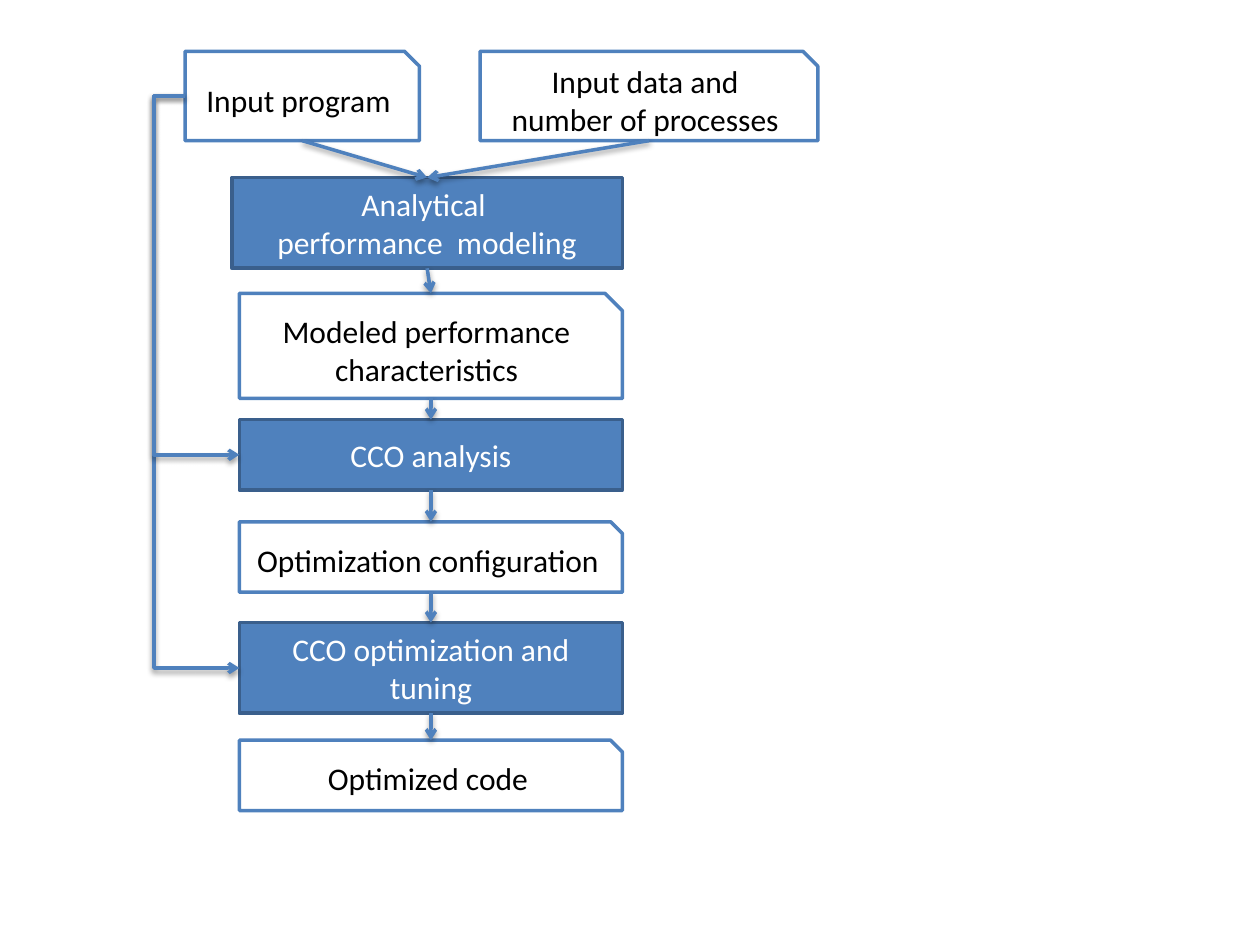
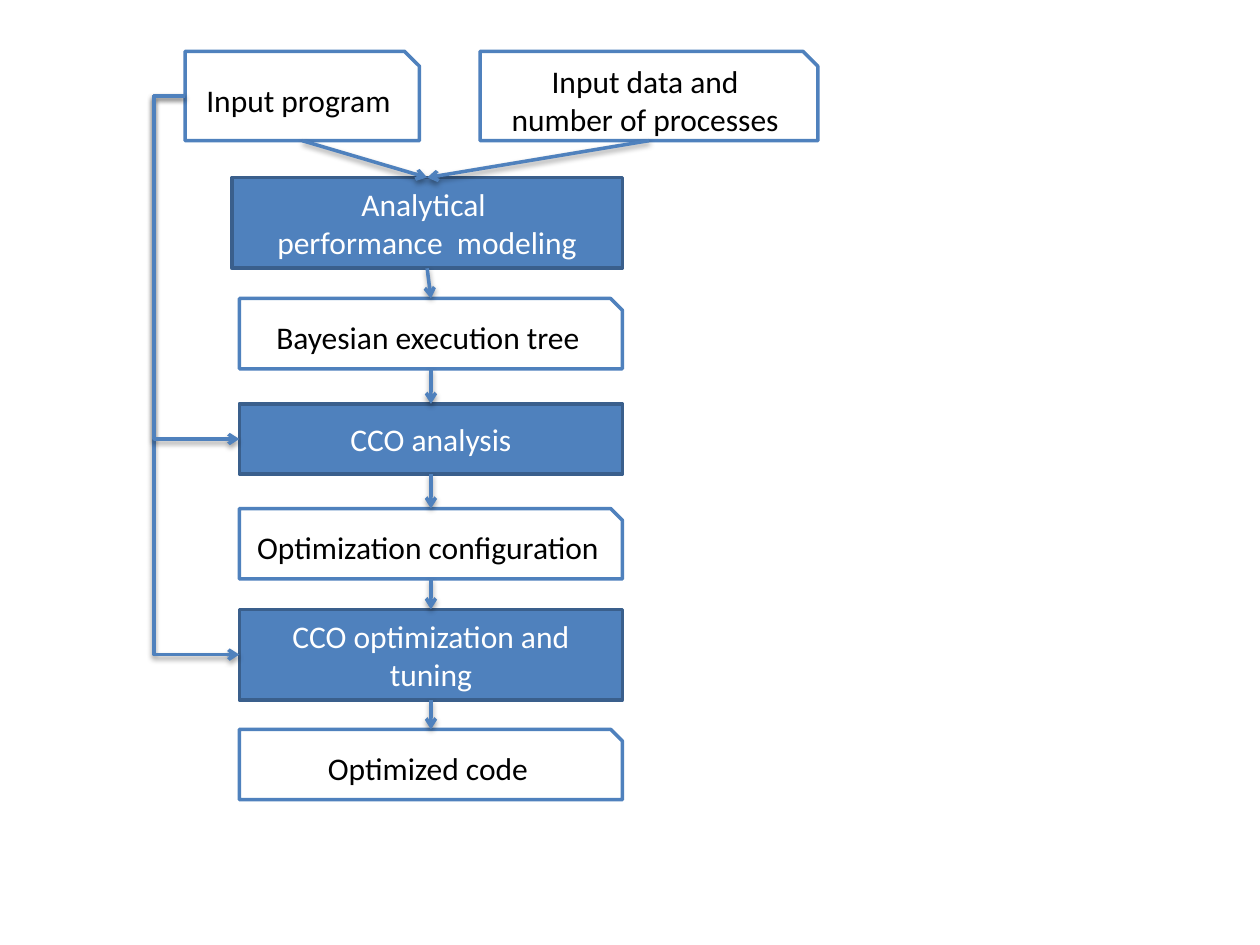
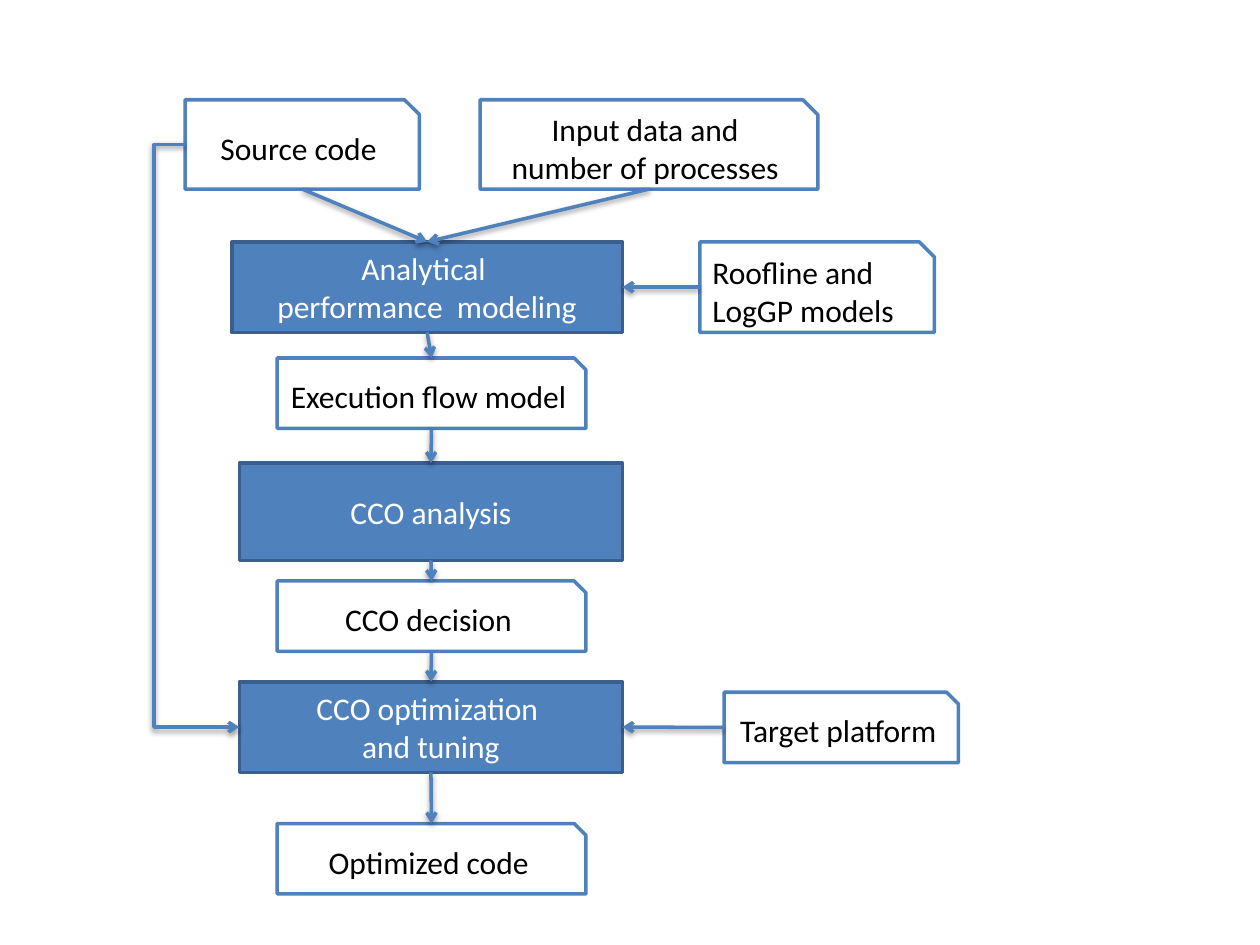
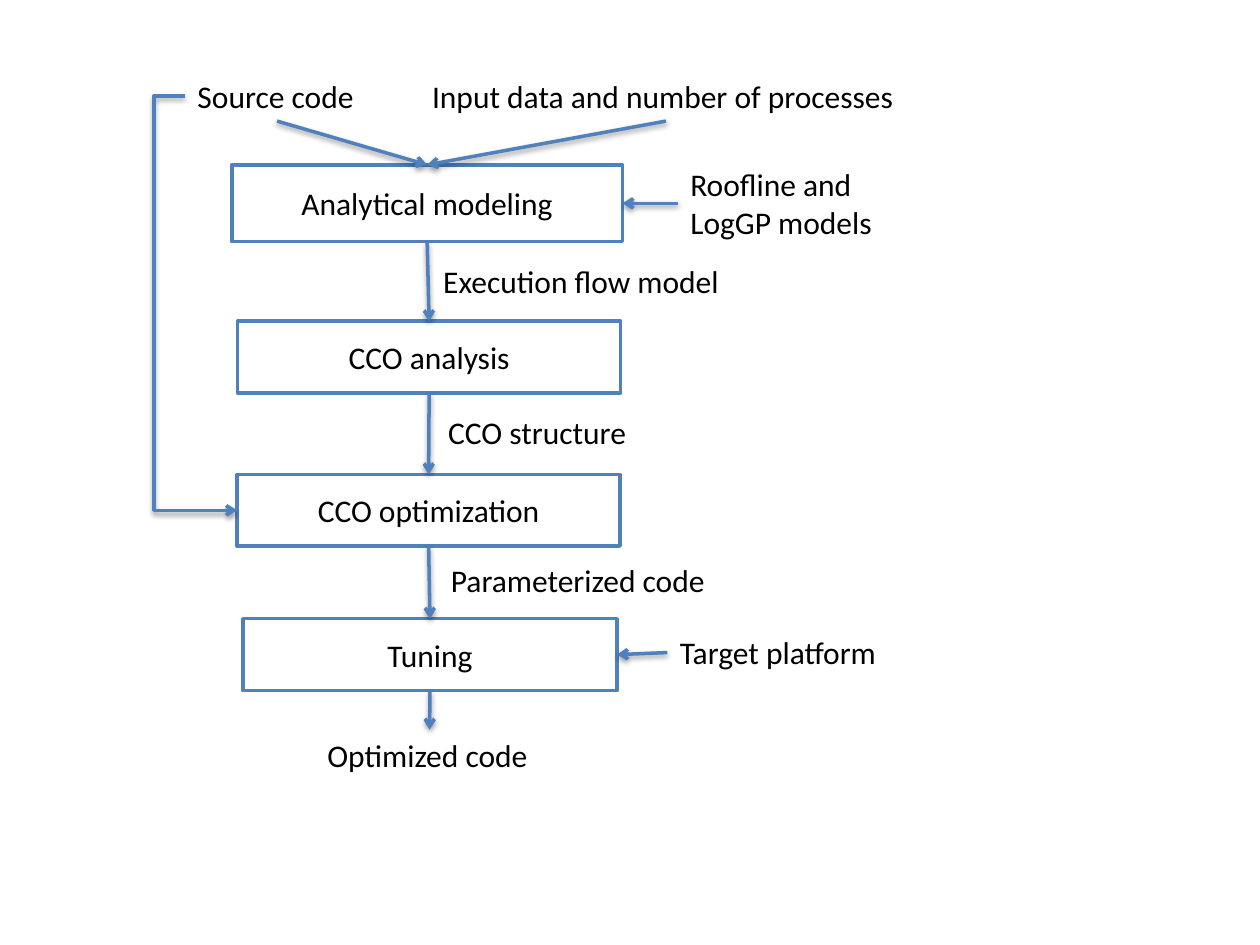
from lxml import etree
from pptx import Presentation
from pptx.dml.color import RGBColor
from pptx.enum.shapes import MSO_CONNECTOR as CONN, MSO_SHAPE as SHAPE
from pptx.enum.text import MSO_ANCHOR, MSO_AUTO_SIZE, PP_ALIGN
from pptx.oxml.ns import qn
from pptx.util import Pt

# Shared style
BLUE = RGBColor(0x4F, 0x81, 0xBD)
NAVY = RGBColor(0x3A, 0x5F, 0x8C)
WHITE = RGBColor(0xFF, 0xFF, 0xFF)
BLACK = RGBColor(0, 0, 0)
FONT, SIZE, STROKE = "Calibri", 18, 2
BUS_X = 88  # vertical run of the bypass arrows

# kind: (preset, fill, line, text colour); a label is a text box
KINDS = {
    "step": (SHAPE.RECTANGLE, BLUE, NAVY, WHITE),
    "doc": (SHAPE.SNIP_1_RECTANGLE, None, BLUE, BLACK),
    "box": (SHAPE.RECTANGLE, None, BLUE, BLACK),
}
TOP, LEFT, BOTTOM, RIGHT = range(4)  # connection sites

# Columns: (left, width)
LEAD = (132.5, 223.2)
MAIN = (136.8, 218.9)
NARROW = (158.4, 176.4)
PROGRAM = (105.8, 133.9)
DATA = (274.3, 193)
# Row heights
INPUT_H, TALL, LOW = 51.1, 51.8, 40.2
BOX_H, LABEL_H = 41, 29

MODELING = "Analytical \nperformance  modeling"
INPUT_DATA = "Input data and\nnumber of processes"
MODELS = "Roofline and\nLogGP models"


def input_docs(first, top):
    return [("doc", first, PROGRAM, top, INPUT_H),
            ("doc", INPUT_DATA, DATA, top, INPUT_H)]


# Content: each part is (kind, text, column, top, height).
# inputs lead into the first spine part; sides are (part, spine index);
# bypass lists the spine indexes reached from the first input.
SLIDES = [
    dict(inputs=input_docs("Input program", 29.3),
         spine=[("step", MODELING, LEAD, 101.5, TALL),
                ("doc", "Modeled performance characteristics", MAIN, 167.6, 60),
                ("step", "CCO analysis", MAIN, 239.8, LOW),
                ("doc", "Optimization configuration", MAIN, 298.2, LOW),
                ("step", "CCO optimization and tuning", MAIN, 355.8, TALL),
                ("doc", "Optimized code", MAIN, 423, LOW)],
         sides=[], bypass=[4, 2], labels=[]),
    dict(inputs=input_docs("Input program", 29.3),
         spine=[("step", MODELING, LEAD, 101.5, TALL),
                ("doc", "Bayesian execution tree", MAIN, 170.6, LOW),
                ("step", "CCO analysis", MAIN, 230.8, LOW),
                ("doc", "Optimization configuration", MAIN, 290.6, LOW),
                ("step", "CCO optimization and tuning", MAIN, 348.2, TALL),
                ("doc", "Optimized code", MAIN, 416.8, LOW)],
         sides=[], bypass=[4, 2], labels=[]),
    dict(inputs=input_docs("Source code", 57),
         spine=[("step", MODELING, LEAD, 138.2, TALL),
                ("doc", "Execution flow model", NARROW, 204.6, LOW),
                ("step", "CCO analysis", MAIN, 264.6, 55.6),
                ("doc", "CCO decision", NARROW, 332, LOW),
                ("step", "CCO optimization \nand tuning", MAIN, 389.6, TALL),
                ("doc", "Optimized code", NARROW, 470.6, LOW)],
         sides=[(("doc", MODELS, (400, 133.9), 138.2, TALL), 0),
                (("doc", "Target platform", (413.8, 133.9), 395.6, LOW), 4)],
         bypass=[4], labels=[]),
    dict(inputs=[("label", "Source code", (105.8, 105.1), 40.2, LABEL_H),
                 ("label", "Input data and number of processes",
                  (239.8, 281.5), 40.2, LABEL_H)],
         spine=[("box", "Analytical modeling", LEAD, 94.2, 44),
                ("box", "CCO analysis", (135.8, 218.9), 183.6, BOX_H),
                ("box", "CCO optimization", (135.5, 218.9), 271.1, BOX_H),
                ("box", "Tuning", (138.8, 213.8), 353.6, BOX_H),
                ("label", "Optimized code", (180, 131), 417, LABEL_H)],
         sides=[(("label", MODELS, (387.4, 119.5), 90.7, 51), 0),
                (("label", "Target platform", (381.4, 130.3), 358.4, LABEL_H), 3)],
         bypass=[2],
         labels=[("label", "Execution flow model", (246.2, 174.2), 146.2, LABEL_H),
                 ("label", "CCO structure", (249, 118), 232.6, LABEL_H),
                 ("label", "Parameterized code", (250.6, 162.7), 316.8, LABEL_H)]),
]


def add_part(shapes, kind, text, column, top, height):
    left, width = column
    frame = Pt(left), Pt(top), Pt(width), Pt(height)
    if kind == "label":
        sp, color = shapes.add_textbox(*frame), BLACK
        sp.text_frame.word_wrap = False
        sp.text_frame.auto_size = MSO_AUTO_SIZE.SHAPE_TO_FIT_TEXT
    else:
        preset, fill, line, color = KINDS[kind]
        sp = shapes.add_shape(preset, *frame)
        sp.shadow.inherit = False
        if fill is None:
            sp.fill.background()
        else:
            sp.fill.solid()
            sp.fill.fore_color.rgb = fill
        sp.line.color.rgb = line
        sp.line.width = Pt(STROKE)
        sp.text_frame.word_wrap = True
        sp.text_frame.vertical_anchor = MSO_ANCHOR.MIDDLE
    tf = sp.text_frame
    centred = kind != "label" and text != MODELS
    for i, words in enumerate(text.split("\n")):
        p = tf.add_paragraph() if i else tf.paragraphs[0]
        p.alignment = PP_ALIGN.CENTER if centred else PP_ALIGN.LEFT
        r = p.add_run()
        r.text = words
        r.font.name, r.font.size = FONT, Pt(SIZE)
        r.font.color.rgb = color
    return sp


def add_arrow(shapes, start, start_site, end, end_site, kind=CONN.STRAIGHT):
    cx = shapes.add_connector(kind, 0, 0, 0, 0)
    cx.begin_connect(start, start_site)
    cx.end_connect(end, end_site)
    cx.line.color.rgb = BLUE
    cx.line.width = Pt(STROKE)
    sp_pr = cx._element.spPr
    etree.SubElement(sp_pr.find(qn("a:ln")), qn("a:tailEnd"), type="arrow")
    # Soft shadow below the line
    effects = etree.SubElement(sp_pr, qn("a:effectLst"))
    shadow = etree.SubElement(effects, qn("a:outerShdw"), blurRad="40000",
                              dist="20000", dir="5400000", rotWithShape="0")
    black = etree.SubElement(shadow, qn("a:srgbClr"), val="000000")
    etree.SubElement(black, qn("a:alpha"), val="38000")
    return cx


def add_bypass(shapes, start, end):
    cx = add_arrow(shapes, start, LEFT, end, LEFT, CONN.ELBOW)
    bend = (Pt(BUS_X) - start.left) / (end.left - start.left)
    geom = cx._element.spPr.find(qn("a:prstGeom"))
    guides = geom.find(qn("a:avLst"))
    if guides is None:
        guides = etree.SubElement(geom, qn("a:avLst"))
    etree.SubElement(guides, qn("a:gd"), name="adj1",
                     fmla=f"val {round(bend * 100000)}")


prs = Presentation()
prs.slide_width, prs.slide_height = Pt(720), Pt(540)

for content in SLIDES:
    shapes = prs.slides.add_slide(prs.slide_layouts[6]).shapes
    # Parts
    spine = [add_part(shapes, *part) for part in content["spine"]]
    inputs = [add_part(shapes, *part) for part in content["inputs"]]
    sides = [(add_part(shapes, *part), i) for part, i in content["sides"]]
    for part in content["labels"]:
        add_part(shapes, *part)
    # Arrows
    for sp in inputs:
        add_arrow(shapes, sp, BOTTOM, spine[0], TOP)
    for upper, lower in zip(spine, spine[1:]):
        add_arrow(shapes, upper, BOTTOM, lower, TOP)
    for sp, i in sides:
        add_arrow(shapes, sp, LEFT, spine[i], RIGHT)
    for i in content["bypass"]:
        add_bypass(shapes, inputs[0], spine[i])

prs.save("out.pptx")
